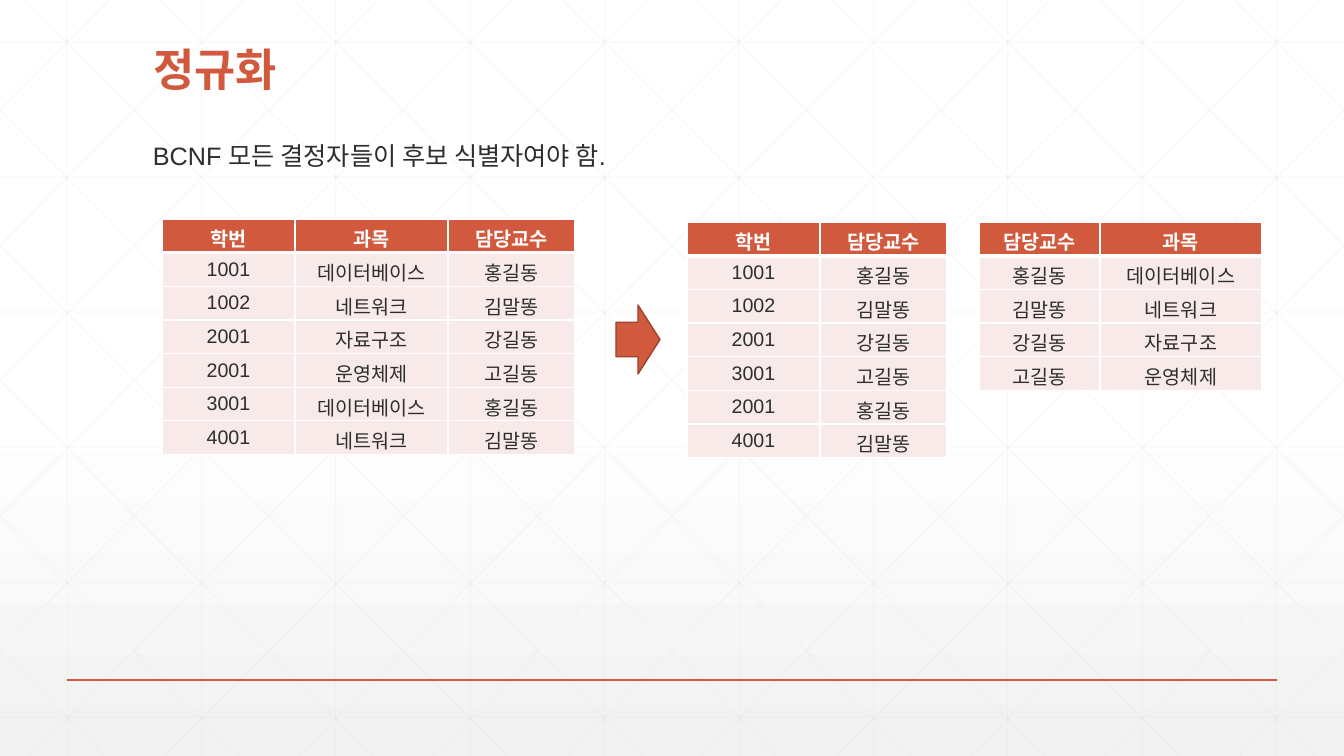
"""Build the slide on normalization to BCNF, with three tables."""
from lxml.etree import SubElement, fromstring
from pptx import Presentation
from pptx.dml.color import RGBColor
from pptx.enum.shapes import MSO_CONNECTOR as Link, MSO_SHAPE as Shape
from pptx.enum.text import MSO_ANCHOR as Anchor, MSO_AUTO_SIZE as Fit, PP_ALIGN as Align
from pptx.oxml.ns import nsdecls, qn
from pptx.util import Emu, Pt

RUST = RGBColor(0xD1, 0x5A, 0x3E)
BROWN = RGBColor(0x9B, 0x43, 0x2E)
INK = RGBColor(0x2D, 0x2E, 0x2D)
PINK = RGBColor(0xF7, 0xEA, 0xE8)
GRID = RGBColor(0xD9, 0xD9, 0xD9)
PALE = RGBColor(0xF2, 0xF2, 0xF2)
WHITE = RGBColor(0xFF, 0xFF, 0xFF)

TITLE = "정규화"
RULE = "BCNF 모든 결정자들이 후보 식별자여야 함."
WIDTHS = {"학번": 133, "담당교수": 127, "과목": 153}
TABLES = [
    (162, 219, (133, 153, 127), [
        ("학번", "과목", "담당교수"),
        ("1001", "데이터베이스", "홍길동"),
        ("1002", "네트워크", "김말똥"),
        ("2001", "자료구조", "강길동"),
        ("2001", "운영체제", "고길동"),
        ("3001", "데이터베이스", "홍길동"),
        ("4001", "네트워크", "김말똥"),
    ]),
    (687, 222, (133, 127), [
        ("학번", "담당교수"),
        ("1001", "홍길동"),
        ("1002", "김말똥"),
        ("2001", "강길동"),
        ("3001", "고길동"),
        ("2001", "홍길동"),
        ("4001", "김말똥"),
    ]),
    (979, 222, (121, 162), [
        ("담당교수", "과목"),
        ("홍길동", "데이터베이스"),
        ("김말똥", "네트워크"),
        ("강길동", "자료구조"),
        ("고길동", "운영체제"),
    ]),
]
WIDE, HIGH = 1344, 756
STEP, ROW = 135, 33
SLANT = 0.994


def px(num):
    return Emu(round(num * 914400 / 100.8))


def place(shape, *box):
    shape.left, shape.top, shape.width, shape.height = map(px, box)


def write(frame, text, size=14, color=INK, bold=False, align=Align.LEFT, space=None):
    para = frame.paragraphs[0]
    para.alignment, para.line_spacing = align, space
    run = para.add_run()
    run.text = text
    font = run.font
    font.name, font.size, font.bold = "Arial", Pt(size), bold
    font.color.rgb = color


def draw(ends, color=GRID, width=0.5, alpha=25):
    line = slide.shapes.add_connector(Link.STRAIGHT, *map(px, ends))
    line.line.color.rgb, line.line.width = color, Pt(width)
    props = line._element.spPr
    tint = next(props.iter(qn("a:srgbClr")))
    SubElement(tint, qn("a:alpha")).set("val", str(alpha * 1000))
    SubElement(props, qn("a:effectLst"))


def edge(cell, row):
    props = cell._tc.get_or_add_tcPr()
    sizes = {"L": 1, "R": 1, "T": 3 if row == 1 else 1, "B": 1 if row else 3}
    for spot, (side, size) in enumerate(sizes.items()):
        props.insert(spot, fromstring(
            f'<a:ln{side} {nsdecls("a")} w="{Pt(size)}"><a:solidFill>'
            f'<a:srgbClr val="{WHITE}"/></a:solidFill></a:ln{side}>'))


def grid(left, top, cols, rows):
    box = map(px, (left, top, sum(cols), ROW * len(rows)))
    table = slide.shapes.add_table(len(rows), len(cols), *box).table
    for col, wide in zip(table.columns, cols):
        col.width = px(wide)
    for r, words in enumerate(rows):
        table.rows[r].height = px(ROW)
        for c, word in enumerate(words):
            cell = table.cell(r, c)
            cell.vertical_anchor = Anchor.MIDDLE
            cell.fill.solid()
            cell.fill.fore_color.rgb = PINK if r else RUST
            edge(cell, r)
            write(cell.text_frame, word, color=INK if r else WHITE,
                  bold=r == 0, align=Align.CENTER)


deck = Presentation()
deck.slide_width, deck.slide_height = px(WIDE), px(HIGH)
slide = deck.slides.add_slide(deck.slide_layouts[5])

fill = slide.background.fill
fill.gradient()
fill.gradient_angle = 270
for stop, spot, color in zip(fill.gradient_stops, (0.53, 1), (WHITE, PALE)):
    stop.position, stop.color.rgb = spot, color

for k in range(10):
    x = 67 + k * WIDE / 10
    draw((x, 0, x, HIGH))
for k in range(6):
    y = 42 + k * STEP
    draw((0, y, WIDE, y))
for k in range(-5, 10):
    x = 25 + k * WIDE / 10
    start = max(0, -x / SLANT)
    stop = min(HIGH, (WIDE - x) / SLANT)
    near, far = x + start * SLANT, x + stop * SLANT
    draw((near, start, far, stop))
    draw((WIDE - near, start, WIDE - far, stop))
draw((67, 680, 1277, 680), color=RUST, width=1, alpha=100)

title = slide.shapes.title
slide.shapes._spTree.append(title._element)
place(title, 143, 39, 1058, 62)
title.text_frame.auto_size = Fit.NONE
title.text_frame.vertical_anchor = Anchor.BOTTOM
write(title.text_frame, TITLE, size=32, color=RUST, bold=True, space=0.9)

note = slide.shapes.add_textbox(*map(px, (143, 135, 1166, 72)))
note.text_frame.word_wrap = True
write(note.text_frame, RULE, size=18)

for spec in TABLES:
    grid(*spec)

arrow = slide.shapes.add_shape(Shape.RIGHT_ARROW, *map(px, (616, 305, 44, 69)))
arrow.shadow.inherit = False
arrow.fill.solid()
arrow.fill.fore_color.rgb = RUST
arrow.line.color.rgb, arrow.line.width = BROWN, Pt(1)

deck.save("out.pptx")
